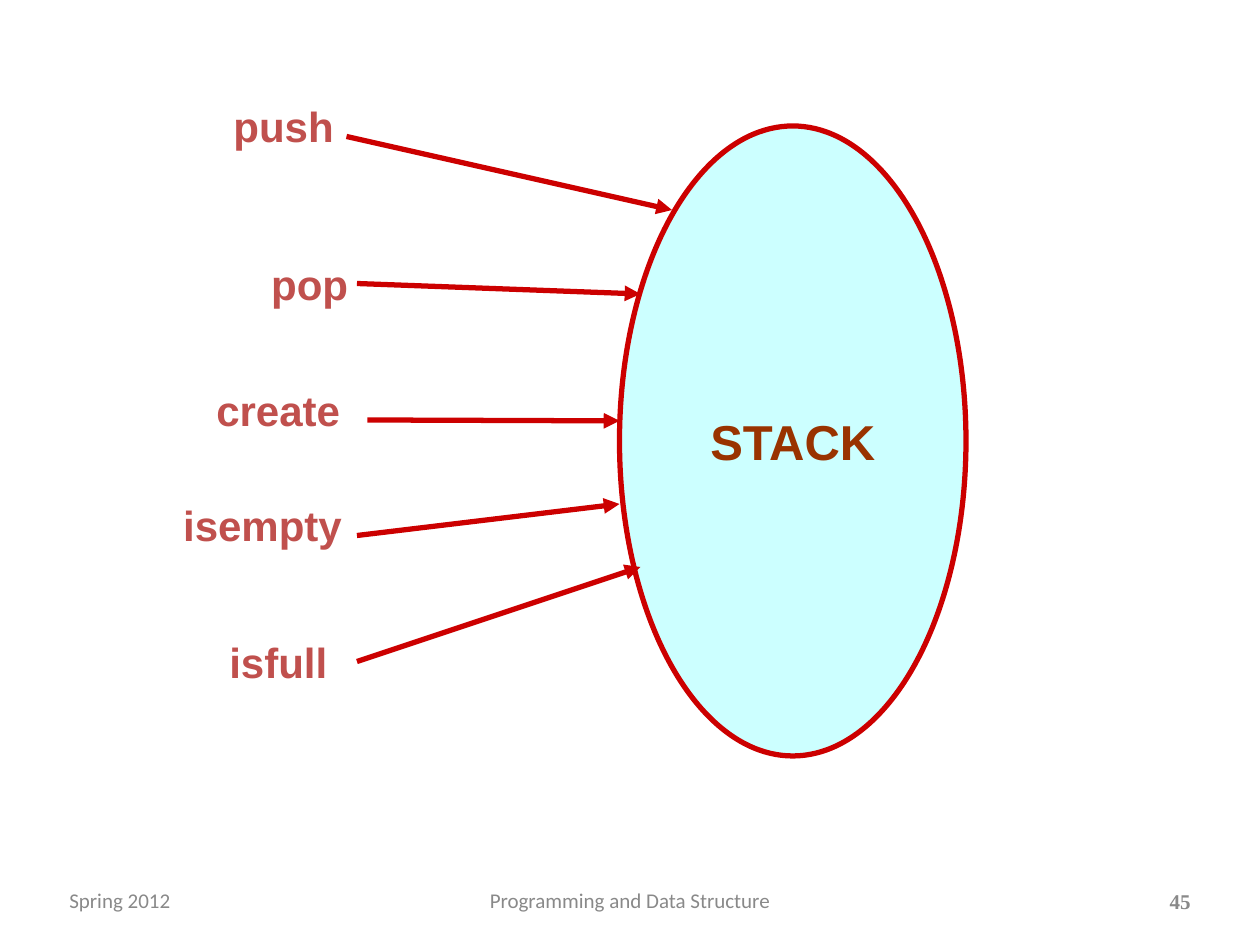
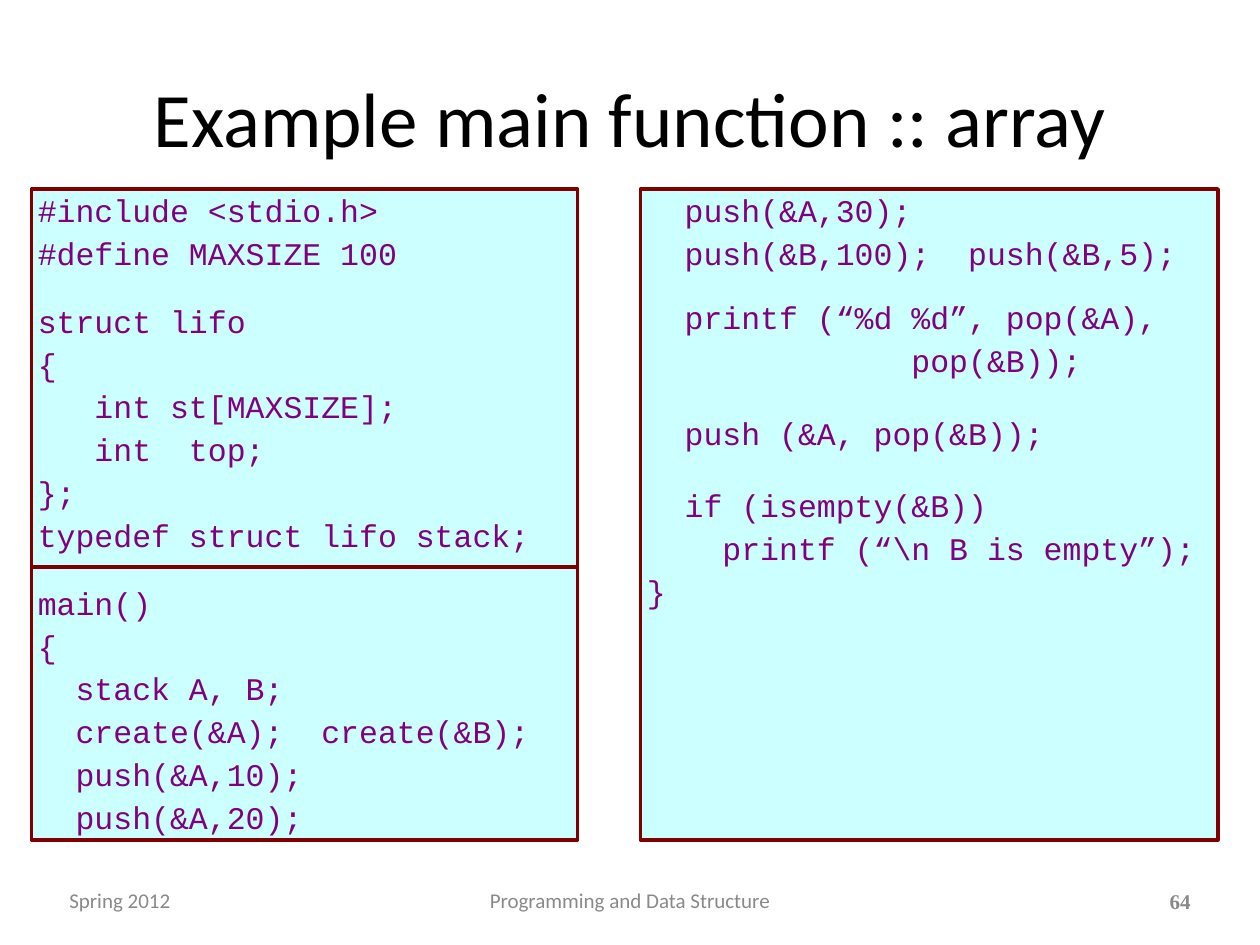
from dataclasses import dataclass

from lxml import etree
from pptx import Presentation
from pptx.dml.color import RGBColor
from pptx.enum.shapes import MSO_CONNECTOR, MSO_SHAPE
from pptx.enum.text import MSO_ANCHOR, MSO_AUTO_SIZE, PP_ALIGN
from pptx.oxml.ns import qn
from pptx.util import Pt

LEFT, CENTER, RIGHT = PP_ALIGN.LEFT, PP_ALIGN.CENTER, PP_ALIGN.RIGHT
TOP, MIDDLE = MSO_ANCHOR.TOP, MSO_ANCHOR.MIDDLE
STRAIGHT, OVAL = MSO_CONNECTOR.STRAIGHT, MSO_SHAPE.OVAL
NO_AUTOFIT = MSO_AUTO_SIZE.NONE
TWO_CONTENT_LAYOUT, BLANK_LAYOUT = 3, 6


@dataclass(frozen=True)
class TextStyle:
    font: str
    size: int
    color: str
    bold: bool = False


@dataclass(frozen=True)
class Theme:
    panel: str = "CCFFFF"
    stack_line: str = "CC0000"
    code_line: str = "800000"
    inset: float = 3.6
    line_spacing: float = 0.9
    code_gap: float = 5
    title: TextStyle = TextStyle("Calibri", 44, "000000")
    footer: TextStyle = TextStyle("Calibri", 12, "898989")
    number: TextStyle = TextStyle("Times New Roman", 12, "898989", True)
    operation: TextStyle = TextStyle("Arial", 24, "C0504D", True)
    stack: TextStyle = TextStyle("Arial", 28, "993300", True)
    code: TextStyle = TextStyle("Courier New", 18, "800080")


THEME = Theme()

SLIDE_SIZE = (720, 540)
TERM = "Spring 2012"
COURSE = "Programming and Data Structure"

STACK_BOX = (354, 72, 198, 360)
OPERATIONS = [
    ("push", (114, 54, 96), (198, 78), (384, 120)),
    ("pop", (120, 144, 114), (204, 162), (366, 168)),
    ("create", (108, 216, 102), (210, 240), (354, 240.5)),
    ("isempty", (90, 282, 120), (204, 306), (354, 288)),
    ("isfull", (114, 360, 90), (204, 378), (366, 324)),
]
OPERATION_HEIGHT = 34.5

CODE_TITLE = "Example main function :: array"
TITLE_BOX = (36, 21.6, 648, 90)
DIVIDER = ((18, 324), (330, 324))
CODE_PANELS = [
    ((18, 108, 312, 372), [
        (0, ["#include <stdio.h>", "#define MAXSIZE 100"]),
        (19.5, ["struct lifo", "{", "   int st[MAXSIZE];", "   int  top;", "};",
                "typedef struct lifo stack;"]),
        (19.5, ["main()", "{", "  stack A, B;", "  create(&A);  create(&B);",
                "  push(&A,10);", "  push(&A,20);"]),
    ]),
    ((366, 108, 330, 372), [
        (0, ["  push(&A,30);", "  push(&B,100);  push(&B,5);"]),
        (17.5, ["  printf (“%d %d”, pop(&A),", "              pop(&B));"]),
        (22, ["  push (&A, pop(&B));"]),
        (22, ["  if (isempty(&B))", "    printf (“\\n B is empty”);", "}"]),
    ]),
]


def rgb(color):
    return RGBColor.from_string(color)


def points(lengths):
    return [Pt(length) for length in lengths]


def place(shape, box):
    shape.left, shape.top, shape.width, shape.height = points(box)


def paint(shape, line_color, line_width):
    shape.fill.solid()
    shape.fill.fore_color.rgb = rgb(THEME.panel)
    shape.line.color.rgb = rgb(line_color)
    shape.line.width = Pt(line_width)


def prepare_frame(shape, anchor, wrap=True):
    frame = shape.text_frame
    frame.auto_size = NO_AUTOFIT
    frame.word_wrap = wrap
    frame.vertical_anchor = anchor
    frame.margin_left = frame.margin_right = Pt(THEME.inset)
    frame.margin_top = frame.margin_bottom = Pt(THEME.inset)
    return frame


def write(paragraph, text, style, align):
    paragraph.alignment = align
    run = paragraph.add_run()
    run.text = text
    run.font.name = style.font
    run.font.size = Pt(style.size)
    run.font.bold = style.bold
    run.font.color.rgb = rgb(style.color)


def fill_text(shape, text, style, align, anchor=MIDDLE, wrap=True):
    frame = prepare_frame(shape, anchor, wrap)
    write(frame.paragraphs[0], text, style, align)


def add_text(slide, box, *text_options, **frame_options):
    fill_text(slide.shapes.add_textbox(*points(box)), *text_options, **frame_options)


def add_line(slide, start, end, color, width, arrow=False):
    line = slide.shapes.add_connector(STRAIGHT, *points(start + end))
    line.line.color.rgb = rgb(color)
    line.line.width = Pt(width)
    if arrow:
        outline = line.line._get_or_add_ln()
        etree.SubElement(outline, qn("a:tailEnd"), type="triangle")
    etree.SubElement(line._element.spPr, qn("a:effectLst"))


def add_footer(slide, number):
    add_text(slide, (36, 504, 168, 21), TERM, THEME.footer, LEFT)
    add_text(slide, (246, 504, 228, 21), COURSE, THEME.footer, CENTER)
    add_text(slide, (664, 504, 20, 21.6), number, THEME.number, RIGHT, wrap=False)


def fill_code(panel, blocks):
    frame = prepare_frame(panel, TOP)
    paragraph = None
    for block_gap, lines in blocks:
        for index, line in enumerate(lines):
            first = paragraph is None
            paragraph = frame.paragraphs[0] if first else frame.add_paragraph()
            properties = paragraph._p.get_or_add_pPr()
            properties.set("marL", "0")
            properties.set("indent", "0")
            etree.SubElement(properties, qn("a:buNone"))
            paragraph.line_spacing = THEME.line_spacing
            paragraph.space_before = Pt(THEME.code_gap if index else block_gap)
            write(paragraph, line, THEME.code, LEFT)


def build_stack_slide(presentation):
    slide = presentation.slides.add_slide(presentation.slide_layouts[BLANK_LAYOUT])
    add_footer(slide, "45")
    stack = slide.shapes.add_shape(OVAL, *points(STACK_BOX))
    stack.shadow.inherit = False
    paint(stack, THEME.stack_line, 3)
    fill_text(stack, "STACK", THEME.stack, CENTER)
    for name, label_box, start, end in OPERATIONS:
        add_line(slide, start, end, THEME.stack_line, 3, arrow=True)
        add_text(slide, label_box + (OPERATION_HEIGHT,), name, THEME.operation,
                 CENTER, anchor=TOP)


def build_code_slide(presentation):
    slide = presentation.slides.add_slide(presentation.slide_layouts[TWO_CONTENT_LAYOUT])
    title, *panels = slide.placeholders
    place(title, TITLE_BOX)
    fill_text(title, CODE_TITLE, THEME.title, CENTER)
    for panel, (box, blocks) in zip(panels, CODE_PANELS):
        place(panel, box)
        paint(panel, THEME.code_line, 2)
        fill_code(panel, blocks)
    add_footer(slide, "64")
    add_line(slide, *DIVIDER, THEME.code_line, 2.5)


def main():
    presentation = Presentation()
    presentation.slide_width, presentation.slide_height = points(SLIDE_SIZE)
    build_stack_slide(presentation)
    build_code_slide(presentation)
    presentation.save("out.pptx")


if __name__ == "__main__":
    main()
